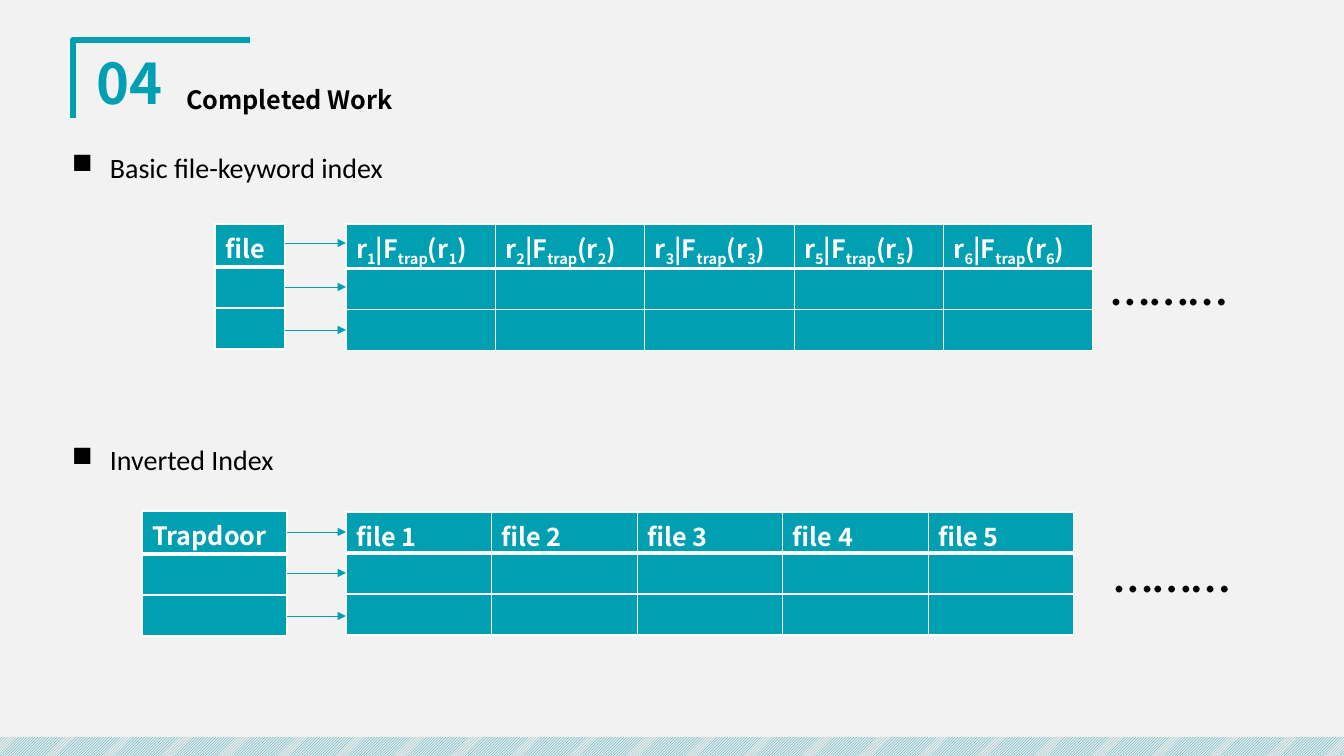
from lxml import etree
from pptx import Presentation
from pptx.dml.color import RGBColor
from pptx.enum.dml import MSO_PATTERN
from pptx.enum.shapes import MSO_CONNECTOR, MSO_SHAPE
from pptx.enum.text import MSO_ANCHOR, MSO_AUTO_SIZE, PP_ALIGN
from pptx.oxml import parse_xml
from pptx.oxml.ns import nsdecls, qn
from pptx.util import Pt

STRIPES = MSO_PATTERN.LIGHT_UPWARD_DIAGONAL
RECTANGLE = MSO_SHAPE.RECTANGLE
STRAIGHT = MSO_CONNECTOR.STRAIGHT
MIDDLE = MSO_ANCHOR.MIDDLE
FIXED_SIZE = MSO_AUTO_SIZE.NONE
LEFT, CENTER = PP_ALIGN.LEFT, PP_ALIGN.CENTER

TEAL = RGBColor(0x00, 0x9F, 0xB1)
WHITE = RGBColor(0xFF, 0xFF, 0xFF)
BLACK = RGBColor(0x00, 0x00, 0x00)
PALE = RGBColor(0xF2, 0xF2, 0xF2)
GREY = RGBColor(0xE9, 0xE9, 0xE9)
HEADING_FONT, BODY_FONT = "Noto Sans CJK SC", "Calibri"
EMU_PER_PX = 914400 / 100.8


def px(length):
    return round(length * EMU_PER_PX)


def write(para, text, size=18, font=HEADING_FONT, color=BLACK, bold=False,
          align=LEFT, spacing=None, before=None):
    """Fill a paragraph; text between tildes is set as subscript."""
    para.alignment = align
    para.line_spacing = spacing
    para.space_before = None if before is None else Pt(before)
    for index, part in enumerate(text.split("~")):
        if not part:
            continue
        span = para.add_run()
        span.text = part
        span.font.size = Pt(size)
        span.font.name = font
        span.font.bold = bold
        span.font.color.rgb = color
        if index % 2:
            span._r.get_or_add_rPr().set("baseline", "-25000")


deck = Presentation()
deck.slide_width, deck.slide_height = px(1344), px(756)
page = deck.slides.add_slide(deck.slide_layouts[5])
page.background.fill.solid()
page.background.fill.fore_color.rgb = PALE

# Frame of the slide
outline = page.shapes.build_freeform(73, 118, scale=EMU_PER_PX)
outline.add_line_segments([(73, 40), (250, 40)], close=False)
bracket = outline.convert_to_shape()
bracket.shadow.inherit = False
bracket.fill.background()
bracket.line.color.rgb = TEAL
bracket.line.width = Pt(4.5)

band = page.shapes.add_shape(RECTANGLE, px(0), px(737), px(1344), px(19))
band.shadow.inherit = False
band.fill.patterned()
band.fill.pattern = STRIPES
band.fill.fore_color.rgb = TEAL
band.fill.back_color.rgb = GREY
band.line.fill.background()

# Number and title
number = page.shapes.add_textbox(px(83), px(49), px(94), px(74))
number.text_frame.word_wrap = True
number.text_frame.vertical_anchor = MIDDLE
write(number.text_frame.paragraphs[0], "04", size=40, color=TEAL, bold=True,
      align=CENTER, spacing=0.9, before=10)

title = page.shapes.title
title.left, title.top, title.width, title.height = px(176), px(79), px(269), px(44)
title.text_frame.auto_size = FIXED_SIZE
title.text_frame.vertical_anchor = MIDDLE
write(title.text_frame.paragraphs[0], "Completed Work", bold=True,
      spacing=0.9, before=10)

# Section headings
headings = page.shapes.add_textbox(px(62), px(135), px(1202), px(348))
headings.text_frame.word_wrap = True
first = headings.text_frame.paragraphs[0]
second = headings.text_frame.add_paragraph()
for para, text, before in ((first, "Basic file-keyword index", 6),
                           (second, "Inverted Index", 178)):
    write(para, text, size=20, font=BODY_FONT, spacing=1.3, before=before)
    properties = para._p.get_or_add_pPr()
    properties.set("marL", str(px(38)))
    properties.set("indent", str(-px(38)))
    etree.SubElement(properties, qn("a:buChar"), char="■")

# Index tables: left, top, width, header height, headers
keyword_headers = [f"r~{n}~|F~trap~(r~{n}~)" for n in (1, 2, 3, 5, 6)]
file_headers = [f"file {n}" for n in range(1, 6)]
tables = (
    (215, 224, 70, 43, ["file"]),
    (346, 224, 747, 41, keyword_headers),
    (142, 511, 145, 43, ["Trapdoor"]),
    (346, 512, 728, 41, file_headers),
)
for left, top, width, header_height, headers in tables:
    table = page.shapes.add_table(3, len(headers), px(left), px(top),
                                  px(width), px(header_height + 82)).table
    for row, height in zip(table.rows, (header_height, 41, 41)):
        row.height = px(height)
    for column, header in enumerate(headers):
        table.columns[column].width = px(width / len(headers))
        write(table.cell(0, column).text_frame.paragraphs[0], header,
              color=WHITE, bold=True)
        for row in range(3):
            cell = table.cell(row, column)
            cell.fill.solid()
            cell.fill.fore_color.rgb = TEAL
            thick_side = {0: "lnB", 1: "lnT"}.get(row)
            for position, side in enumerate(("lnL", "lnR", "lnT", "lnB")):
                weight = Pt(3 if side == thick_side else 1)
                border = parse_xml(
                    f'<a:{side} {nsdecls("a")} w="{weight}"><a:solidFill>'
                    f'<a:srgbClr val="{WHITE}"/></a:solidFill></a:{side}>')
                cell._tc.get_or_add_tcPr().insert(position, border)

# Arrows from each key to its row
for start, heights in ((285, (243, 287, 330)), (287, (532, 573, 616))):
    for y in heights:
        arrow = page.shapes.add_connector(STRAIGHT, px(start), px(y), px(346), px(y))
        arrow.line.color.rgb = TEAL
        arrow.line.width = Pt(0.5)
        etree.SubElement(arrow.line._get_or_add_ln(), qn("a:tailEnd"), type="triangle")
        etree.SubElement(arrow._element.spPr, qn("a:effectLst"))

# Continuation dots
for left, top in ((1101, 224), (1104, 511)):
    dots = page.shapes.add_textbox(px(left), px(top), px(143), px(92))
    dots.text_frame.word_wrap = True
    write(dots.text_frame.paragraphs[0], "………", size=40, font=BODY_FONT,
          spacing=1.3, before=6)

deck.save("out.pptx")
